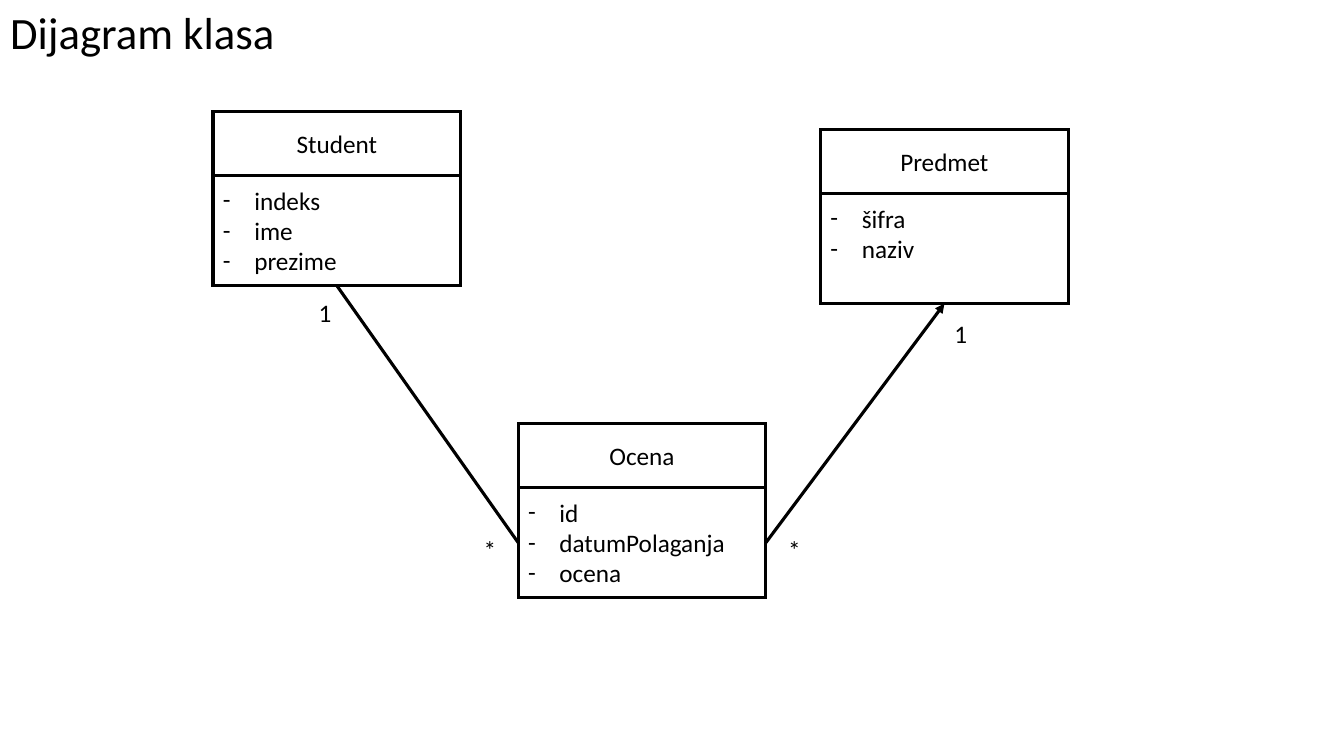
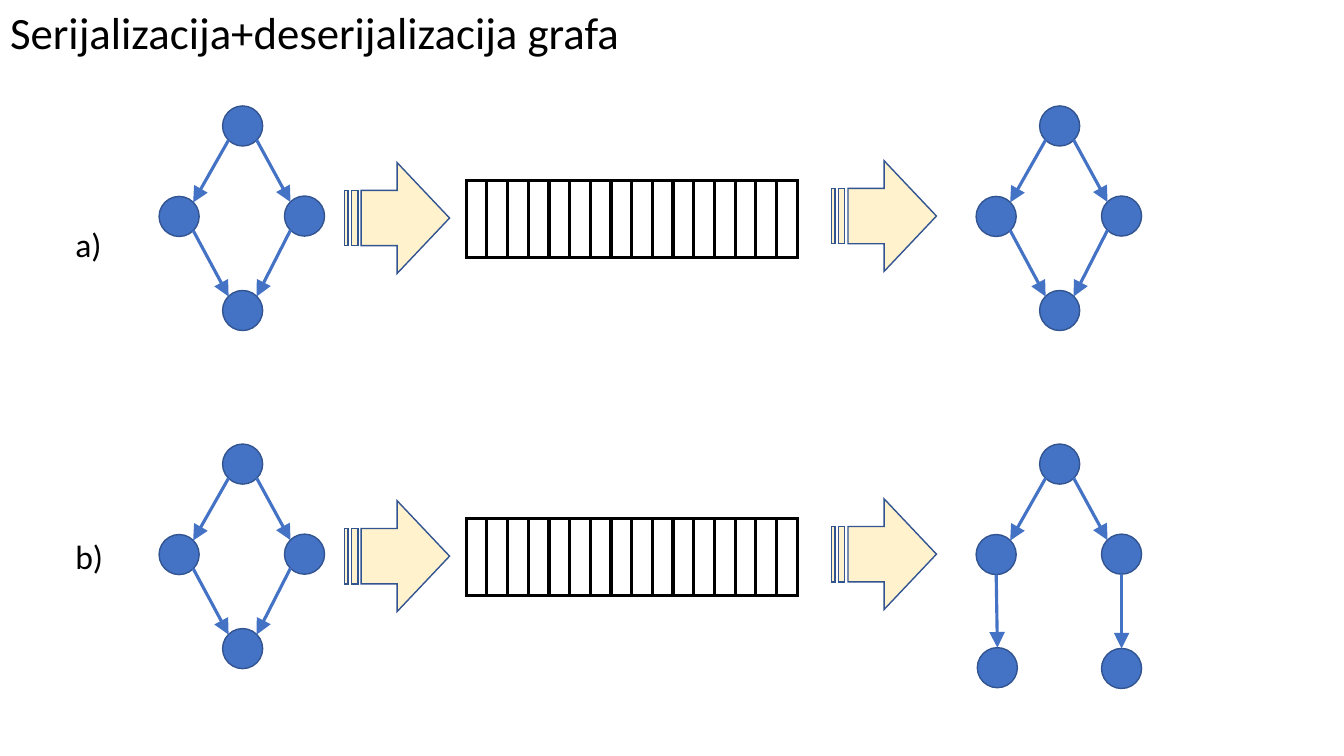
import dataclasses

import lxml.etree
import pptx
import pptx.dml.color
import pptx.enum.shapes
import pptx.enum.text
import pptx.oxml.ns
import pptx.util

Cm = pptx.util.Cm
Pt = pptx.util.Pt
qn = pptx.oxml.ns.qn
SHAPE = pptx.enum.shapes.MSO_SHAPE
ALIGN = pptx.enum.text.PP_ALIGN
ANCHOR = pptx.enum.text.MSO_ANCHOR


@dataclasses.dataclass(frozen=True)
class Theme:
    font: str = "Calibri"
    ink: str = "000000"
    paper: str = "FFFFFF"
    node: str = "4472C4"
    outline: str = "325491"
    arrow: str = "FFF2CC"
    title_size: float = 32
    label_size: float = 24
    body_size: float = 18
    thick: float = 2.25
    thin: float = 1


THEME = Theme()
TITLE_ONLY = 5
RECTANGLE_SITES = [(0.5, 0), (0, 0.5), (0.5, 1), (1, 0.5)]
ELLIPSE_SITES = [(0.5, 0), (0.15, 0.15), (0, 0.5), (0.15, 0.85),
                 (0.5, 1), (0.85, 0.85), (1, 0.5), (0.85, 0.15)]
TOP, LEFT, BOTTOM, RIGHT = range(4)
NODE_TOP, NODE_TOP_LEFT, NODE_BOTTOM_LEFT = 0, 1, 3
NODE_BOTTOM, NODE_BOTTOM_RIGHT, NODE_TOP_RIGHT = 4, 5, 7

NODE_SIZE = 1.01
DIAMOND_NODES = [(1.6, 0), (0, 2.28), (3.16, 2.27), (1.6, 4.65)]
TREE_NODES = DIAMOND_NODES[:3] + [(0.03, 5.13), (3.16, 5.15)]
ROOT_EDGES = [(0, NODE_BOTTOM_LEFT, 1, NODE_TOP_RIGHT),
              (0, NODE_BOTTOM_RIGHT, 2, NODE_TOP_LEFT)]
DIAMOND_EDGES = ROOT_EDGES + [(1, NODE_BOTTOM_RIGHT, 3, NODE_TOP_LEFT),
                              (2, NODE_BOTTOM_LEFT, 3, NODE_TOP_RIGHT)]
TREE_EDGES = ROOT_EDGES + [(1, NODE_BOTTOM, 3, NODE_TOP),
                           (2, NODE_BOTTOM, 4, NODE_TOP)]
DIAMOND = (DIAMOND_NODES, DIAMOND_EDGES)
TREE = (TREE_NODES, TREE_EDGES)


def color(value):
    return pptx.dml.color.RGBColor.from_string(value)


def format_text(text_frame, size, alignment=ALIGN.LEFT):
    for paragraph in text_frame.paragraphs:
        paragraph.alignment = alignment
        for run in paragraph.runs:
            run.font.name = THEME.font
            run.font.size = Pt(size)
            run.font.color.rgb = color(THEME.ink)


def fit_to_text(text_frame):
    text_frame.word_wrap = False
    text_frame.auto_size = pptx.enum.text.MSO_AUTO_SIZE.SHAPE_TO_FIT_TEXT


def add_titled_slide(presentation, title, width):
    slide = presentation.slides.add_slide(presentation.slide_layouts[TITLE_ONLY])
    shape = slide.shapes.title
    shape.left, shape.top = Cm(0), Cm(0)
    shape.width, shape.height = Cm(width), Cm(1.62)
    shape.text_frame.text = title
    shape.text_frame.vertical_anchor = ANCHOR.TOP
    fit_to_text(shape.text_frame)
    format_text(shape.text_frame, THEME.title_size)
    return slide


def add_label(slide, text, left, top, width, height, size):
    shape = slide.shapes.add_textbox(left, top, Cm(width), Cm(height))
    shape.text_frame.text = text
    fit_to_text(shape.text_frame)
    format_text(shape.text_frame, size)


def format_line(shape, line, weight):
    shape.line.color.rgb = color(line)
    shape.line.width = Pt(weight)
    outline = shape._element.spPr.find(qn("a:ln"))
    lxml.etree.SubElement(outline, qn("a:miter"), lim="800000")
    return outline


def add_box(shapes, kind, left, top, width, height, fill, line, weight):
    shape = shapes.add_shape(kind, Cm(left), Cm(top), Cm(width), Cm(height))
    shape.shadow.inherit = False
    shape.fill.solid()
    shape.fill.fore_color.rgb = color(fill)
    format_line(shape, line, weight)
    return shape


def site_position(shape, site):
    ellipse = shape.auto_shape_type == SHAPE.OVAL
    across, down = (ELLIPSE_SITES if ellipse else RECTANGLE_SITES)[site]
    return (shape.left + round(shape.width * across),
            shape.top + round(shape.height * down))


def connect(slide, source, source_site, target, target_site, line, head=None):
    connector = slide.shapes.add_connector(
        pptx.enum.shapes.MSO_CONNECTOR.STRAIGHT,
        *site_position(source, source_site), *site_position(target, target_site))
    outline = format_line(connector, line, THEME.thick)
    element = connector._element
    ends = element.find(".//" + qn("p:cNvCxnSpPr"))
    for tag, shape, site in (("a:stCxn", source, source_site),
                             ("a:endCxn", target, target_site)):
        lxml.etree.SubElement(ends, qn(tag), id=str(shape.shape_id), idx=str(site))
    if head:
        lxml.etree.SubElement(outline, qn("a:tailEnd"), type="triangle",
                              w=head, len=head)
    lxml.etree.SubElement(element.spPr, qn("a:effectLst"))


def add_dash_bullet(paragraph):
    properties = paragraph._p.get_or_add_pPr()
    properties.set("marL", str(Cm(0.79)))
    properties.set("indent", str(Cm(-0.79)))
    lxml.etree.SubElement(properties, qn("a:buFont"), typeface=THEME.font)
    lxml.etree.SubElement(properties, qn("a:buChar"), char="-")


def add_class(slide, name, attributes, left, top):
    width, header_height, body_height = 6.24, 1.62, 2.77
    style = (THEME.paper, THEME.ink, THEME.thick)
    group = slide.shapes.add_group_shape()
    header = add_box(group.shapes, SHAPE.RECTANGLE, left, top,
                     width, header_height, *style)
    header.text_frame.text = name
    header.text_frame.vertical_anchor = ANCHOR.MIDDLE
    format_text(header.text_frame, THEME.body_size, ALIGN.CENTER)
    body = add_box(group.shapes, SHAPE.RECTANGLE, left, top + header_height,
                   width, body_height, *style)
    body.text_frame.text = "\n".join(attributes)
    body.text_frame.vertical_anchor = ANCHOR.TOP
    body.text_frame.margin_top = Cm(0.24)
    format_text(body.text_frame, THEME.body_size)
    for paragraph in body.text_frame.paragraphs:
        add_dash_bullet(paragraph)
    return body


def add_multiplicity(slide, text, body, site, across, down):
    x, y = site_position(body, site)
    add_label(slide, text, x + Cm(across), y + Cm(down), 0.84, 1.02,
              THEME.body_size)


def build_class_diagram(presentation):
    slide = add_titled_slide(presentation, "Dijagram klasa", 7.24)
    student = add_class(slide, "Student", ["indeks", "ime", "prezime"], 5.37, 2.81)
    course = add_class(slide, "Predmet", ["šifra", "naziv"], 20.68, 3.26)
    grade = add_class(slide, "Ocena", ["id", "datumPolaganja", "ocena"], 13.06, 10.67)
    connect(slide, student, BOTTOM, grade, LEFT, THEME.ink)
    connect(slide, grade, RIGHT, course, BOTTOM, THEME.ink, head="med")
    add_multiplicity(slide, "1", student, BOTTOM, -0.71, 0.17)
    add_multiplicity(slide, "*", grade, LEFT, -1.12, -0.33)
    add_multiplicity(slide, "1", course, BOTTOM, 0, 0.25)
    add_multiplicity(slide, "*", grade, RIGHT, 0.31, -0.33)


def add_graph(slide, graph, left, top):
    positions, edges = graph
    nodes = [add_box(slide.shapes, SHAPE.OVAL, left + x, top + y, NODE_SIZE,
                     NODE_SIZE, THEME.node, THEME.outline, THEME.thin)
             for x, y in positions]
    for source, source_site, target, target_site in edges:
        connect(slide, nodes[source], source_site, nodes[target], target_site,
                THEME.node, head="lg")


def add_byte_array(slide, left, top, width, height, count=16):
    cell_width = width / count
    for index in range(count):
        add_box(slide.shapes, SHAPE.RECTANGLE, left + index * cell_width, top,
                cell_width, height, THEME.paper, THEME.ink, THEME.thick)


def add_step_arrow(slide, left, top):
    add_box(slide.shapes, SHAPE.STRIPED_RIGHT_ARROW, left, top, 2.64, 2.79,
            THEME.arrow, THEME.outline, THEME.thin)


def add_serialization_row(slide, label, label_drop, result, left, top):
    add_label(slide, label, Cm(left), Cm(top + label_drop), 1.24, 1.28,
              THEME.label_size)
    add_graph(slide, DIAMOND, left + 2.36, top)
    add_step_arrow(slide, left + 7.04, top + 1.43)
    add_byte_array(slide, left + 10.1, top + 1.88, 8.34, 1.94)
    add_step_arrow(slide, left + 19.31, top + 1.38)
    add_graph(slide, result, left + 22.95, top)


def build_graph_serialization(presentation):
    slide = add_titled_slide(presentation, "Serijalizacija+deserijalizacija grafa", 16.28)
    add_serialization_row(slide, "a)", 2.84, DIAMOND, 1.65, 2.67)
    add_serialization_row(slide, "b)", 2.2, TREE, 1.65, 11.19)


def main():
    presentation = pptx.Presentation()
    presentation.slide_width = Cm(33.87)
    presentation.slide_height = Cm(19.05)
    build_class_diagram(presentation)
    build_graph_serialization(presentation)
    presentation.save("out.pptx")


if __name__ == "__main__":
    main()
